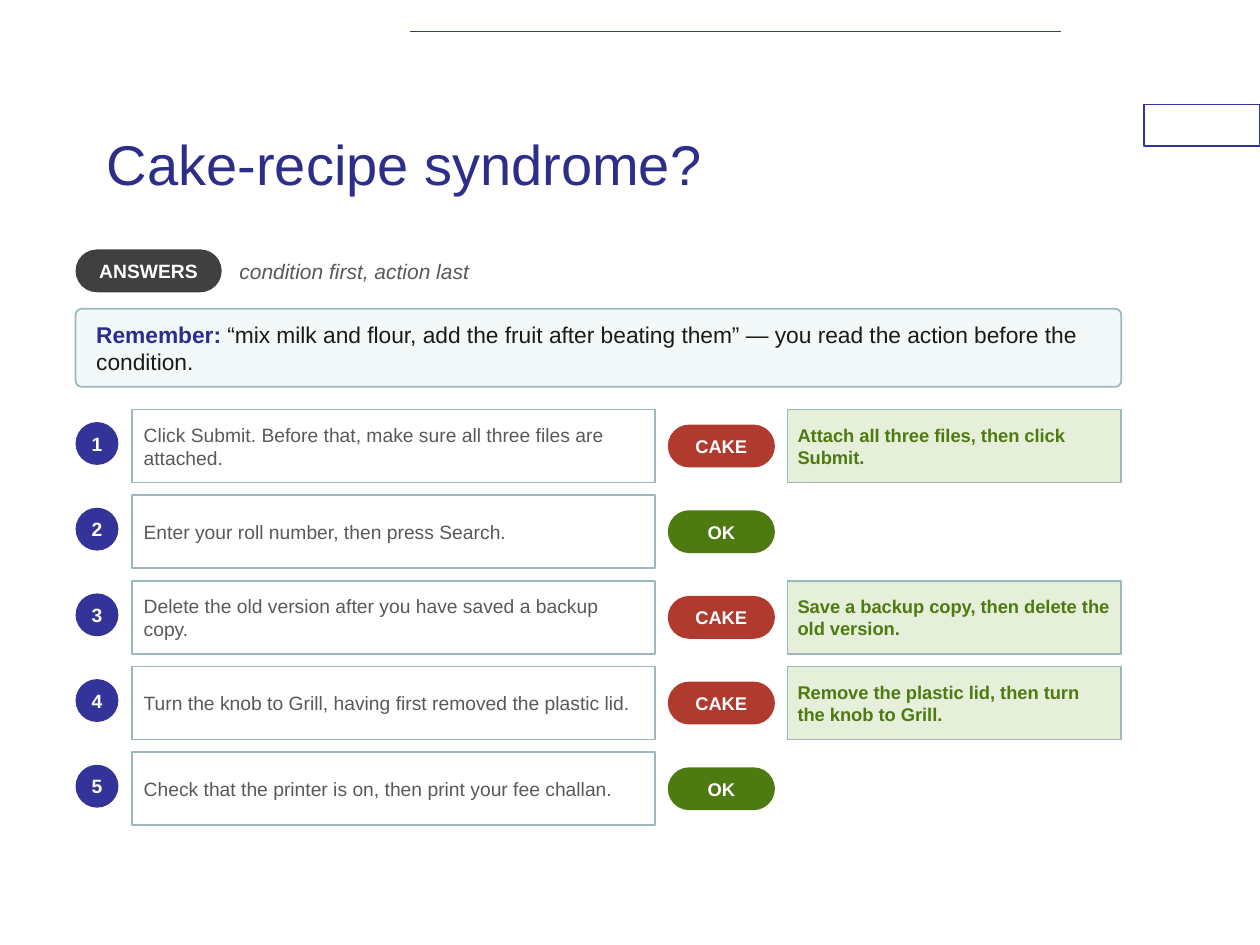
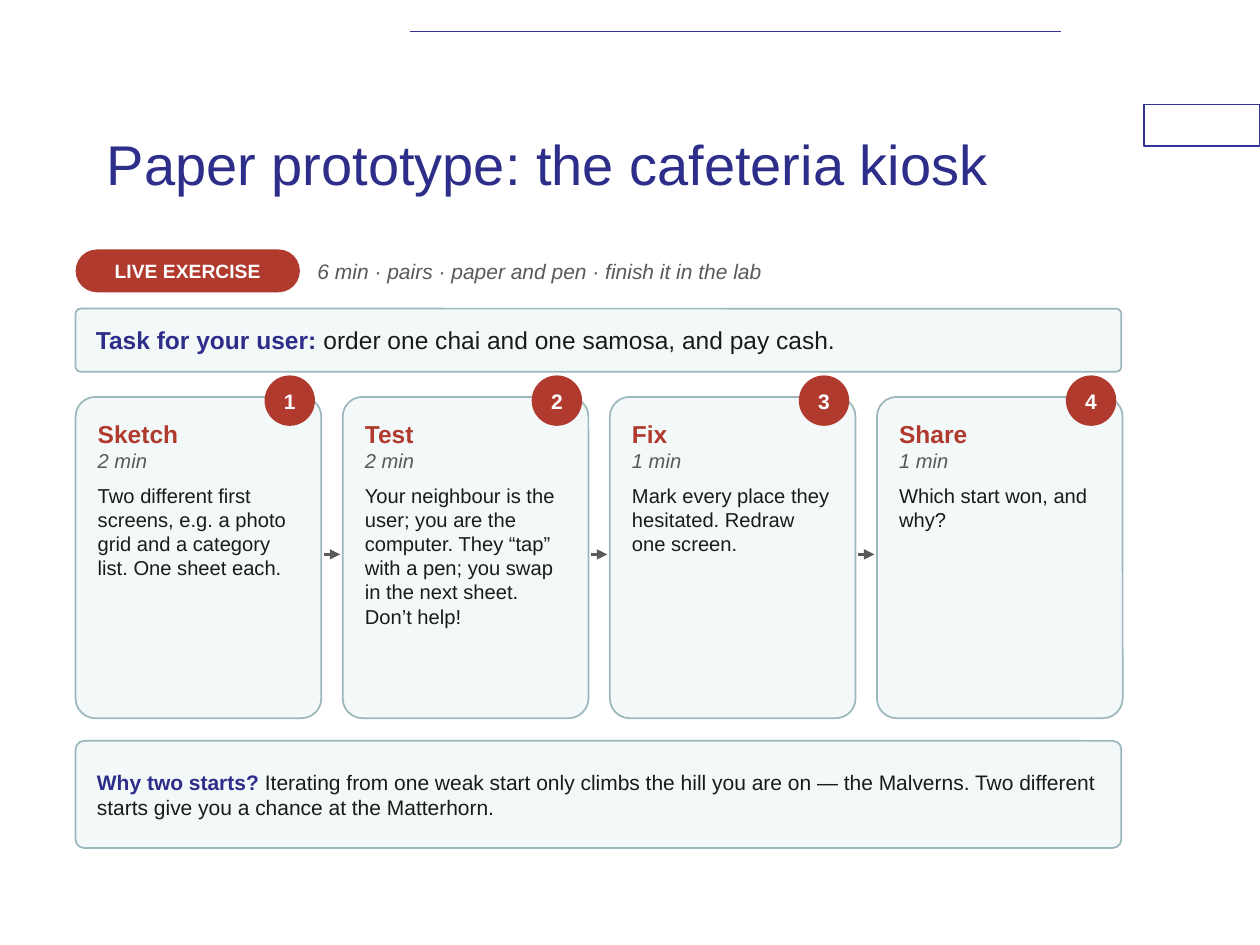
from dataclasses import dataclass

from lxml.etree import SubElement
from pptx import Presentation
from pptx.dml.color import RGBColor
from pptx.enum.shapes import MSO_CONNECTOR, MSO_SHAPE
from pptx.enum.text import MSO_ANCHOR, PP_ALIGN
from pptx.oxml.ns import qn
from pptx.util import Pt

PX = 9144  # EMU in one px, 100 px to the inch


@dataclass(frozen=True)
class Theme:
    font: str = "Arial"
    white: str = "FFFFFF"
    navy: str = "2D2D8A"
    indigo: str = "333399"
    ink: str = "1A1A1A"
    grey: str = "595959"
    charcoal: str = "404040"
    red: str = "B03A2E"
    green: str = "4E7A12"
    pale_green: str = "E6EFD9"
    panel: str = "F3F8F9"
    border: str = "9DB8BC"
    title: float = 32
    heading: float = 14
    lead: float = 13
    body: float = 12
    card: float = 11.5
    label: float = 11
    small: float = 10.5


theme = Theme()
FULL_ROUND, SOFT_ROUND = 0.5, 0.08
LEFT, WIDTH = 60, 830
PILL_HEIGHT = 34


def add_box(slide, kind, at, paragraphs=(), fill=None, line=None, line_width=1,
            inset=None, centred=False, anchor=MSO_ANCHOR.MIDDLE, rounding=None, gaps=()):
    """Add a shape, or a text box if kind is None. A run is (text, size, colour, style)."""
    place = [length * PX for length in at]
    if kind is None:
        shape = slide.shapes.add_textbox(*place)
    else:
        shape = slide.shapes.add_shape(kind, *place)
        shape.shadow.inherit = False
        shape.fill.solid()
        shape.fill.fore_color.rgb = RGBColor.from_string(fill)
        if line:
            shape.line.color.rgb = RGBColor.from_string(line)
            shape.line.width = Pt(line_width)
        else:
            shape.line.fill.background()
    if rounding:
        shape.adjustments[0] = rounding

    frame = shape.text_frame
    frame.word_wrap = True
    frame.vertical_anchor = anchor
    if inset is not None:
        for side in ("left", "top", "right", "bottom"):
            setattr(frame, f"margin_{side}", inset * PX)

    for index, runs in enumerate(paragraphs):
        paragraph = frame.paragraphs[0] if index == 0 else frame.add_paragraph()
        paragraph.alignment = PP_ALIGN.CENTER if centred else PP_ALIGN.LEFT
        if index < len(gaps) and gaps[index]:
            paragraph.space_before = Pt(gaps[index])
        for text, size, colour, style in runs:
            run = paragraph.add_run()
            run.text = text
            font_values = {"name": theme.font, "size": Pt(size),
                           "bold": style == "bold", "italic": style == "italic"}
            for attribute, value in font_values.items():
                setattr(run.font, attribute, value)
            run.font.color.rgb = RGBColor.from_string(colour)


def add_line(slide, start, end, colour, width, arrow=False):
    ends = [length * PX for length in (*start, *end)]
    connector = slide.shapes.add_connector(MSO_CONNECTOR.STRAIGHT, *ends)
    connector.line.color.rgb = RGBColor.from_string(colour)
    connector.line.width = Pt(width)
    if arrow:
        SubElement(connector.line._get_or_add_ln(), qn("a:tailEnd"), type="triangle")
    SubElement(connector._element.spPr, qn("a:effectLst"))


presentation = Presentation()
presentation.slide_width = 1000 * PX
presentation.slide_height = 750 * PX

# Shared frame: corner box, top rule, title, tag with hint, banner
headers = [
    {
        "title": "Cake-recipe syndrome?",
        "tag": "ANSWERS", "tag_fill": theme.charcoal, "tag_width": 116,
        "hint": "condition first, action last",
        "banner": ("Remember: ", "“mix milk and flour, add the fruit after beating them” "
                   "— you read the action before the condition."),
        "banner_size": theme.lead, "banner_height": 62,
    },
    {
        "title": "Paper prototype: the cafeteria kiosk",
        "tag": "LIVE EXERCISE", "tag_fill": theme.red, "tag_width": 178,
        "hint": "6 min · pairs · paper and pen · finish it in the lab",
        "banner": ("Task for your user: ", "order one chai and one samosa, and pay cash."),
        "banner_size": theme.heading, "banner_height": 50,
    },
]
panel_style = {"fill": theme.panel, "line": theme.border, "rounding": SOFT_ROUND}

slides = []
for header in headers:
    slide = presentation.slides.add_slide(presentation.slide_layouts[6])
    slides.append(slide)
    add_box(slide, MSO_SHAPE.RECTANGLE, (908, 83, 92, 33),
            fill=theme.white, line=theme.indigo, line_width=0.75)
    add_line(slide, (325, 25), (842, 25), theme.indigo, 1)
    add_box(slide, None, (75, 67, 750, 125),
            [[(header["title"], theme.title, theme.navy, "")]])

    add_box(slide, MSO_SHAPE.ROUNDED_RECTANGLE, (LEFT, 198, header["tag_width"], PILL_HEIGHT),
            [[(header["tag"], theme.label, theme.white, "bold")]],
            fill=header["tag_fill"], inset=3, centred=True, rounding=FULL_ROUND)
    hint_left = LEFT + header["tag_width"] + 12
    add_box(slide, None, (hint_left, 198, LEFT + WIDTH - hint_left, PILL_HEIGHT),
            [[(header["hint"], theme.body, theme.grey, "italic")]], inset=2)

    lead, statement = header["banner"]
    add_box(slide, MSO_SHAPE.ROUNDED_RECTANGLE, (LEFT, 245, WIDTH, header["banner_height"]),
            [[(lead, header["banner_size"], theme.navy, "bold"),
              (statement, header["banner_size"], theme.ink, "")]],
            inset=15, **panel_style)

answers_slide, exercise_slide = slides

# Answers: one row per instruction, with a verdict and a rewrite if it is needed
instructions = [
    ("Click Submit. Before that, make sure all three files are attached.",
     "Attach all three files, then click Submit."),
    ("Enter your roll number, then press Search.", None),
    ("Delete the old version after you have saved a backup copy.",
     "Save a backup copy, then delete the old version."),
    ("Turn the knob to Grill, having first removed the plastic lid.",
     "Remove the plastic lid, then turn the knob to Grill."),
    ("Check that the printer is on, then print your fee challan.", None),
]
for row, (instruction, rewrite) in enumerate(instructions):
    top = 325 + 68 * row
    add_box(answers_slide, MSO_SHAPE.OVAL, (LEFT, top + 10, 34, 34),
            [[(str(row + 1), theme.label, theme.white, "bold")]],
            fill=theme.indigo, inset=0, centred=True)
    add_box(answers_slide, MSO_SHAPE.RECTANGLE, (105, top, 415, 58),
            [[(instruction, theme.label, theme.grey, "")]],
            fill=theme.white, line=theme.border, inset=9)
    verdict, verdict_fill = ("CAKE", theme.red) if rewrite else ("OK", theme.green)
    add_box(answers_slide, MSO_SHAPE.ROUNDED_RECTANGLE, (530, top + 12, 85, PILL_HEIGHT),
            [[(verdict, theme.small, theme.white, "bold")]],
            fill=verdict_fill, inset=3, centred=True, rounding=FULL_ROUND)
    if rewrite:
        add_box(answers_slide, MSO_SHAPE.RECTANGLE, (625, top, 265, 58),
                [[(rewrite, theme.small, theme.green, "bold")]],
                fill=theme.pale_green, line=theme.border, inset=8)

# Exercise: four numbered step cards joined by arrows
steps = [
    ("Sketch", "2 min", "Two different first screens, e.g. a photo grid and a category list. "
     "One sheet each."),
    ("Test", "2 min", "Your neighbour is the user; you are the computer. They “tap” with a pen; "
     "you swap in the next sheet. Don’t help!"),
    ("Fix", "1 min", "Mark every place they hesitated. Redraw one screen."),
    ("Share", "1 min", "Which start won, and why?"),
]
CARD_WIDTH, CARD_PITCH = 195, 212
for number, (name, duration, task) in enumerate(steps, start=1):
    card_left = LEFT + CARD_PITCH * (number - 1)
    card_right = card_left + CARD_WIDTH
    add_box(exercise_slide, MSO_SHAPE.ROUNDED_RECTANGLE, (card_left, 315, CARD_WIDTH, 255),
            [[(name, theme.heading, theme.red, "bold")],
             [(duration, theme.card, theme.grey, "italic")],
             [(task, theme.card, theme.ink, "")]],
            inset=13, anchor=MSO_ANCHOR.TOP, gaps=(0, 0, 6), **panel_style)
    add_box(exercise_slide, MSO_SHAPE.OVAL, (card_right - 45, 298, 40, 40),
            [[(str(number), theme.body, theme.white, "bold")]],
            fill=theme.red, inset=0, centred=True)
    if number < len(steps):
        add_line(exercise_slide, (card_right + 2, 440), (card_right + 15, 440),
                 theme.grey, 1.5, arrow=True)

# Exercise: closing reason
add_box(exercise_slide, MSO_SHAPE.ROUNDED_RECTANGLE, (LEFT, 588, WIDTH, 85),
        [[("Why two starts? ", theme.body, theme.navy, "bold"),
          ("Iterating from one weak start only climbs the hill you are on — the Malverns. "
           "Two different starts give you a chance at the Matterhorn.",
           theme.body, theme.ink, "")]],
        inset=15, **panel_style)

presentation.save("out.pptx")
